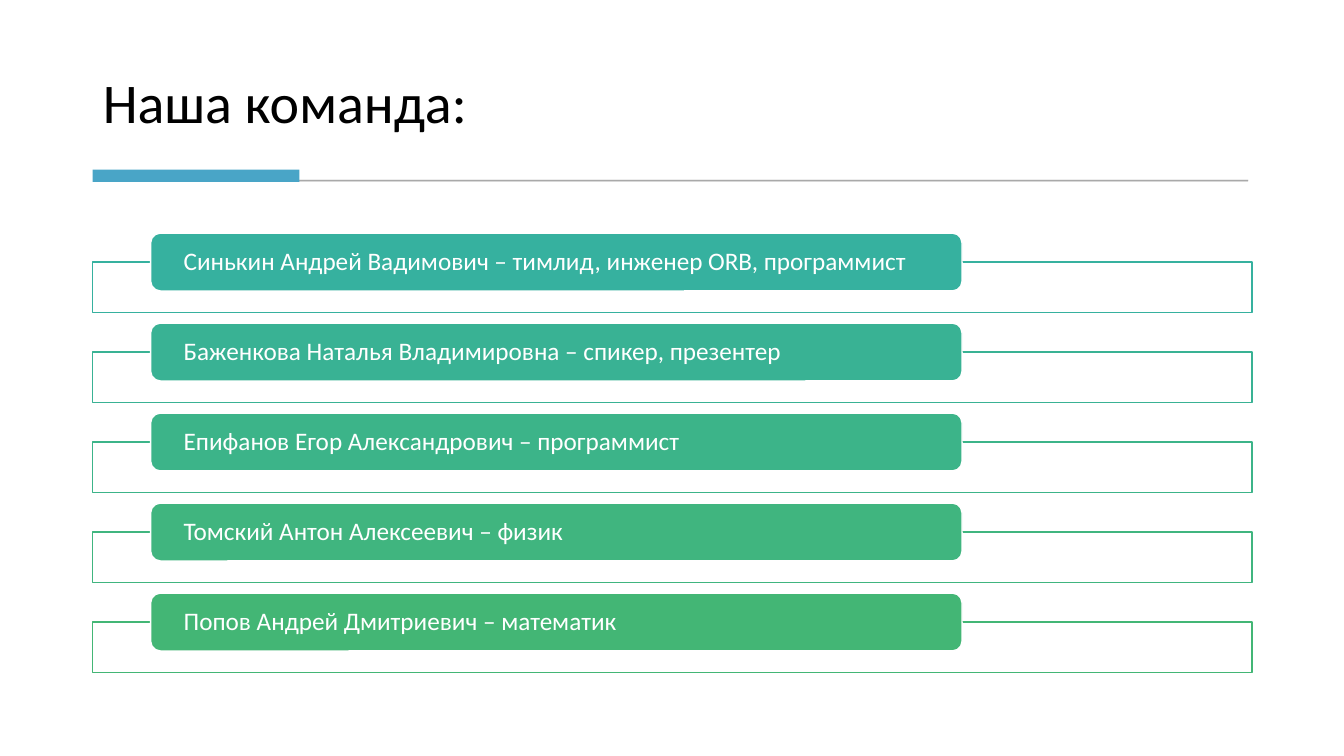
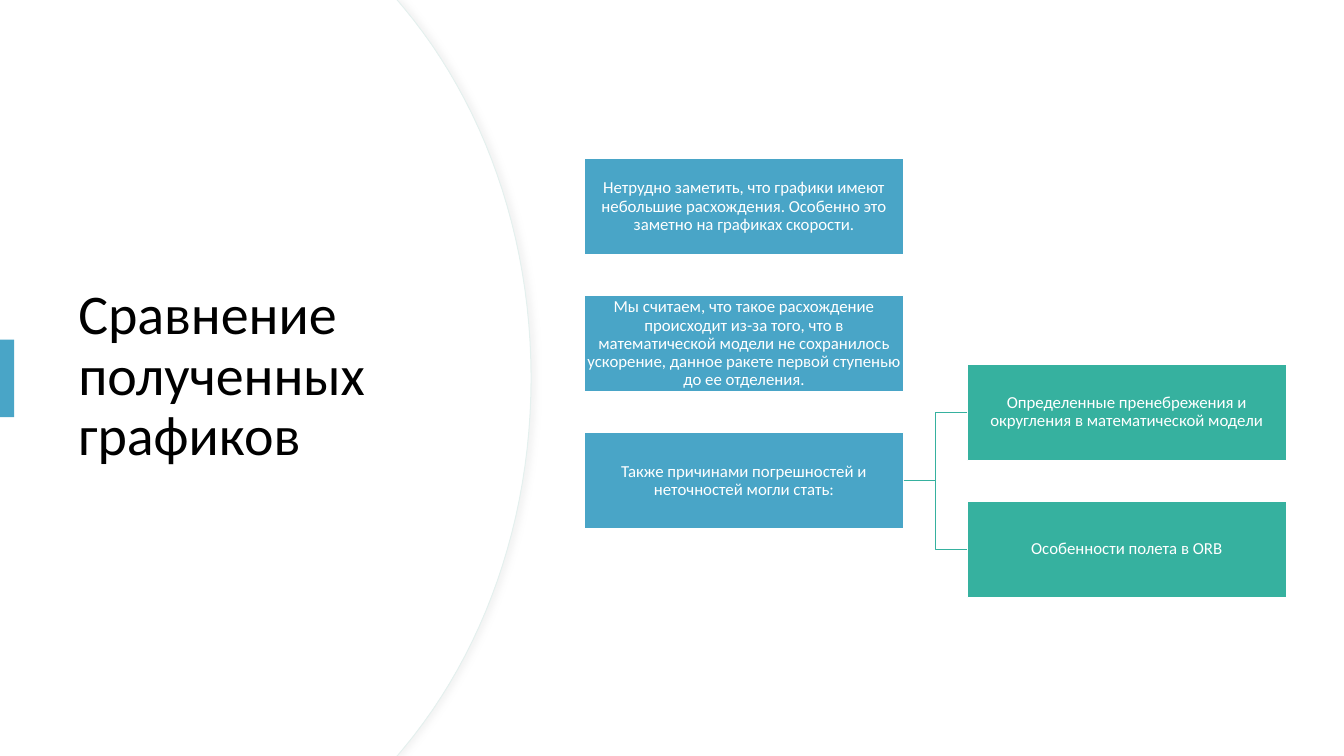
from lxml import etree
from pptx import Presentation, util as u
from pptx.dml.color import RGBColor
from pptx.enum import shapes, text
from pptx.oxml import parse_xml
from pptx.oxml.ns import nsdecls, qn

BLACK = RGBColor(0x00, 0x00, 0x00)
WHITE = RGBColor(0xFF, 0xFF, 0xFF)
GREY = RGBColor(0x59, 0x59, 0x59)
PALE = RGBColor(0xE4, 0xF0, 0xEE)
BLUE = RGBColor(0x49, 0xA5, 0xC7)
GREENS = [RGBColor.from_string(c) for c in
          ("36B19F", "39B294", "3CB489", "40B57F", "43B675")]
TEAL = GREENS[0]

FONT = "Calibri"
WIDE, HIGH = 960, 540
RECT = shapes.MSO_SHAPE.RECTANGLE
PILL = shapes.MSO_SHAPE.ROUNDED_RECTANGLE
LEFT, MID = text.PP_ALIGN.LEFT, text.PP_ALIGN.CENTER


class Deck:
    """Holds the style and the current slide."""

    def __init__(self):
        self.prs = Presentation()
        self.prs.slide_width = u.Pt(WIDE)
        self.prs.slide_height = u.Pt(HIGH)
        self.slide = None

    def add(self):
        self.slide = self.prs.slides.add_slide(self.prs.slide_layouts[5])

    def words(self, frame, copy, size, color, align, anchor, pad):
        frame.word_wrap = True
        frame.auto_size = text.MSO_AUTO_SIZE.NONE
        frame.vertical_anchor = anchor
        frame.margin_left = frame.margin_right = u.Pt(pad[0])
        frame.margin_top = frame.margin_bottom = u.Pt(pad[1])
        para = frame.paragraphs[0]
        para.alignment = align
        para.line_spacing = 0.9
        run = para.add_run()
        run.text = copy
        run.font.size = u.Pt(size)
        run.font.name = FONT
        run.font.color.rgb = color

    def title(self, copy, x, y, w, h, anchor):
        box = self.slide.shapes.title
        box.left, box.top, box.width, box.height = map(u.Pt, (x, y, w, h))
        self.words(box.text_frame, copy, 40, BLACK, LEFT, anchor, (7.2, 3.6))
        # Bring the title in front of the shapes drawn so far
        box._element.getparent().append(box._element)

    def paint(self, shape, fill, line=None, weight=1):
        shape.shadow.inherit = False
        shape.fill.solid()
        shape.fill.fore_color.rgb = fill
        if line is None:
            shape.line.fill.background()
        else:
            shape.line.color.rgb = line
            shape.line.width = u.Pt(weight)
        return shape

    def box(self, x, y, w, h, fill, line=None, weight=1, kind=RECT):
        shape = self.slide.shapes.add_shape(kind, *map(u.Pt, (x, y, w, h)))
        return self.paint(shape, fill, line, weight)

    def label(self, shape, copy, size, align, pad):
        self.words(shape.text_frame, copy, size, WHITE, align,
                   text.MSO_ANCHOR.MIDDLE, pad)

    def free(self, points, fill, line=None, weight=1):
        spots = [(u.Pt(x), u.Pt(y)) for x, y in points]
        pen = self.slide.shapes.build_freeform(*spots[0])
        pen.add_line_segments(spots[1:], close=True)
        return self.paint(pen.convert_to_shape(), fill, line, weight)

    def elbow(self, start, end, color):
        link = self.slide.shapes.add_connector(
            shapes.MSO_CONNECTOR.ELBOW, 0, 0, 0, 0)
        link.begin_connect(start, 3)
        link.end_connect(end, 1)
        link.line.color.rgb = color
        link.line.width = u.Pt(1)
        etree.SubElement(link._element.spPr, qn("a:effectLst"))


def fade(shape, share):
    """Make the fill and line of a shape partly clear."""
    for tint in shape._element.spPr.iter(qn("a:srgbClr")):
        etree.SubElement(tint, qn("a:alpha")).set("val", str(share * 1000))


def shade(shape):
    """Give a shape a soft shadow to the right."""
    props = shape._element.spPr
    props.replace(props.find(qn("a:effectLst")), parse_xml(
        f'<a:effectLst {nsdecls("a")}>'
        f'<a:outerShdw blurRad="{u.Pt(4)}" dist="{u.Pt(3)}" dir="0">'
        '<a:srgbClr val="D9D9D9"><a:alpha val="30000"/></a:srgbClr>'
        '</a:outerShdw></a:effectLst>'))


def bulge(shift=0, steps=24):
    """Outline of the left panel with its curved right edge."""
    ends = [(288.7, 6), (344.9, 73.4), (379.4, 167), (379.4, 270)]
    top = [(0, 0), (283.7 - shift, 0)]
    for i in range(steps + 1):
        t = i / steps
        mix = ((1 - t) ** 3, 3 * t * (1 - t) ** 2, 3 * t * t * (1 - t), t ** 3)
        x, y = (sum(m * e[k] for m, e in zip(mix, ends)) for k in (0, 1))
        top.append((x - shift, y))
    return top + [(x, HIGH - y) for x, y in reversed(top[:-1])]


def team(deck):
    deck.add()
    deck.title("Наша команда:", 66.24, 20.2, 827, 80, text.MSO_ANCHOR.BOTTOM)
    # Rule and accent below the title
    fade(deck.box(68.4, 128.6, 823, 0.72, GREY, GREY, 0.75), 30)
    deck.box(66.24, 121.2, 147.6, 8.64, BLUE)
    # One framed pill per member
    crew = ["Синькин Андрей Вадимович – тимлид, инженер ORB, программист",
            "Баженкова Наталья Владимировна – спикер, презентер",
            "Епифанов Егор Александрович – программист",
            "Томский Антон Алексеевич – физик",
            "Попов Андрей Дмитриевич – математик"]
    for i, (who, tint) in enumerate(zip(crew, GREENS)):
        y = 187.2 + 64.28 * i
        deck.box(66.24, y, 828, 36, WHITE, tint)
        pill = deck.box(107.6, y - 20.66, 579.6, 41.33, tint, WHITE, kind=PILL)
        deck.label(pill, who, 18, LEFT, (21.6, 0))


def graphs(deck):
    deck.add()
    # Curved panel with a soft edge
    shade(deck.free(bulge(), WHITE, PALE, 0.75))
    deck.free(bulge(0.72), WHITE)
    deck.title("Сравнение полученных графиков", 48.7, 91.2, 284, 356.4,
               text.MSO_ANCHOR.MIDDLE)
    deck.box(0, 242.6, 10.1, 55.4, BLUE)

    # Columns of boxes: findings, then causes
    def stack(x, y, fill, notes):
        cards = []
        for i, note in enumerate(notes):
            card = deck.box(x, y + 97.9 * i, 227.8, 69.2, fill, WHITE)
            deck.label(card, note, 12, MID, (0.6, 0.6))
            cards.append(card)
        return cards

    facts = stack(417.6, 113, BLUE, [
        "Нетрудно заметить, что графики имеют небольшие расхождения. "
        "Особенно это заметно на графиках скорости.",
        "Мы считаем, что такое расхождение происходит из-за того, что в "
        "математической модели не сохранилось ускорение, данное ракете "
        "первой ступенью до ее отделения.",
        "Также причинами погрешностей и неточностей могли стать:"])
    causes = stack(691, 259.9, TEAL, [
        "Определенные пренебрежения и округления в математической модели",
        "Особенности полета в ORB"])
    for cause in causes:
        deck.elbow(facts[-1], cause, TEAL)


def main():
    deck = Deck()
    team(deck)
    graphs(deck)
    deck.prs.save("out.pptx")


if __name__ == "__main__":
    main()
